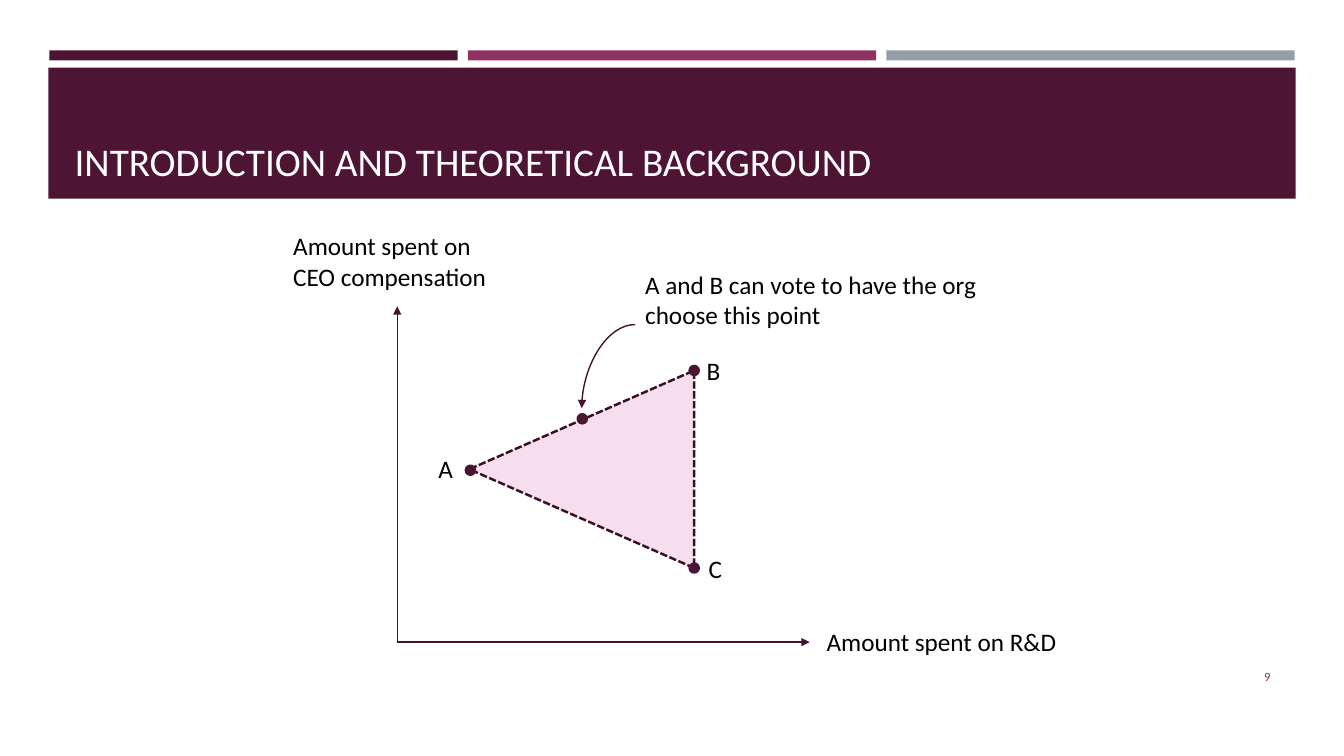
from lxml import etree
from pptx import Presentation
from pptx.dml.color import RGBColor
from pptx.enum.dml import MSO_LINE
from pptx.enum.shapes import MSO_CONNECTOR, MSO_SHAPE
from pptx.enum.text import MSO_ANCHOR, MSO_AUTO_SIZE, PP_ALIGN
from pptx.oxml.ns import qn
from pptx.util import Pt

EMU_PER_PX = 9144  # 100 px to the inch
TITLE_ONLY = 5
FONT = "Calibri"

PLUM = RGBColor(0x4D, 0x14, 0x34)
MAGENTA = RGBColor(0x90, 0x31, 0x63)
GREY = RGBColor(0x96, 0x9F, 0xA7)
AXIS = RGBColor(0x45, 0x12, 0x2F)
PINK = RGBColor(0xF6, 0xDE, 0xEC)
OUTLINE = RGBColor(0x39, 0x0F, 0x26)
WHITE = RGBColor(0xFF, 0xFF, 0xFF)
BLACK = RGBColor(0x00, 0x00, 0x00)

RECTANGLE = MSO_SHAPE.RECTANGLE
TRIANGLE = MSO_SHAPE.ISOSCELES_TRIANGLE
OVAL = MSO_SHAPE.OVAL
STRAIGHT = MSO_CONNECTOR.STRAIGHT
CURVE = MSO_CONNECTOR.CURVE
SHORT_DASH = MSO_LINE.SQUARE_DOT
LEFT, RIGHT = PP_ALIGN.LEFT, PP_ALIGN.RIGHT
TOP, MIDDLE, BOTTOM = MSO_ANCHOR.TOP, MSO_ANCHOR.MIDDLE, MSO_ANCHOR.BOTTOM
NO_FIT, GROW = MSO_AUTO_SIZE.NONE, MSO_AUTO_SIZE.SHAPE_TO_FIT_TEXT


def px(*lengths):
    return [length * EMU_PER_PX for length in lengths]


class SlideBuilder:
    def __init__(self, slide):
        self.slide = slide
        self.shapes = slide.shapes

    def shape(self, kind, box, fill, outline=None, dash=None, rotation=0):
        shape = self.shapes.add_shape(kind, *px(*box))
        shape.shadow.inherit = False
        shape.rotation = rotation
        shape.fill.solid()
        shape.fill.fore_color.rgb = fill
        if outline is None:
            shape.line.fill.background()
        else:
            shape.line.color.rgb = outline
            shape.line.width = Pt(1.75)
            shape.line.dash_style = dash

    def dot(self, x, y, size=9):
        self.shape(OVAL, (x - size // 2, y - size // 2, size, size), PLUM, PLUM)

    def arrow(self, start, end, kind=STRAIGHT):
        arrow = self.shapes.add_connector(kind, *px(*start, *end))
        arrow.line.color.rgb = AXIS
        arrow.line.width = Pt(1)
        properties = arrow.element.spPr
        if kind == CURVE:
            # A single quarter bend instead of the default S-curve
            properties.find(qn("a:prstGeom")).set("prst", "curvedConnector2")
        etree.SubElement(properties.find(qn("a:ln")), qn("a:tailEnd"), type="triangle")
        etree.SubElement(properties, qn("a:effectLst"))

    def add_text(self, frame, text, size, color, align=LEFT, anchor=TOP):
        frame.vertical_anchor = anchor
        paragraph = frame.paragraphs[0]
        paragraph.alignment = align
        run = paragraph.add_run()
        run.text = text
        run.font.name = FONT
        run.font.size = Pt(size)
        run.font.color.rgb = color

    def label(self, box, text, wrap=False):
        frame = self.shapes.add_textbox(*px(*box)).text_frame
        frame.word_wrap = wrap
        frame.auto_size = GROW
        self.add_text(frame, text, 18, BLACK)

    def page_number(self, box, number):
        frame = self.shapes.add_textbox(*px(*box)).text_frame
        frame.word_wrap = True
        self.add_text(frame, number, 9, MAGENTA, RIGHT, MIDDLE)

    def title(self, box, text):
        """Place the title placeholder in front of everything drawn so far."""
        title = self.shapes.title
        title.left, title.top, title.width, title.height = px(*box)
        title.element.getparent().append(title.element)
        title.text_frame.word_wrap = True
        title.text_frame.auto_size = NO_FIT
        self.add_text(title.text_frame, text, 28, WHITE, LEFT, BOTTOM)


def main():
    deck = Presentation()
    deck.slide_width, deck.slide_height = px(1333, 750)
    page = SlideBuilder(deck.slides.add_slide(deck.slide_layouts[TITLE_ONLY]))

    for column, color in enumerate((PLUM, MAGENTA, GREY)):
        page.shape(RECTANGLE, (49 + 415 * column, 50, 405, 10), color)
    page.shape(RECTANGLE, (48, 67, 1237, 130), PLUM)
    page.title((64, 77, 1206, 111), "INTRODUCTION AND THEORETICAL BACKGROUND")
    page.page_number((1155, 651, 115, 40), "9")

    origin = (394, 637)
    page.arrow(origin, (803, 637))
    page.arrow(origin, (394, 304))

    page.shape(TRIANGLE, (479, 354, 196, 223), PINK, OUTLINE, SHORT_DASH, 270)
    point_a, agreed_point, point_b, point_c = (466, 466), (577, 415), (688, 367), (688, 563)
    for point in (point_a, agreed_point, point_b, point_c):
        page.dot(*point)

    page.label((425, 445, 37, 40), "A")
    page.label((691, 348, 34, 40), "B")
    page.label((693, 544, 38, 40), "C")
    page.label((630, 262, 368, 71),
               "A and B can vote to have the org choose this point", wrap=True)
    page.arrow((630, 322), (577, 405), CURVE)
    page.label((810, 616, 257, 40), "Amount spent on R&D")
    page.label((281, 224, 226, 71), "Amount spent on CEO compensation", wrap=True)

    deck.save("out.pptx")


if __name__ == "__main__":
    main()
